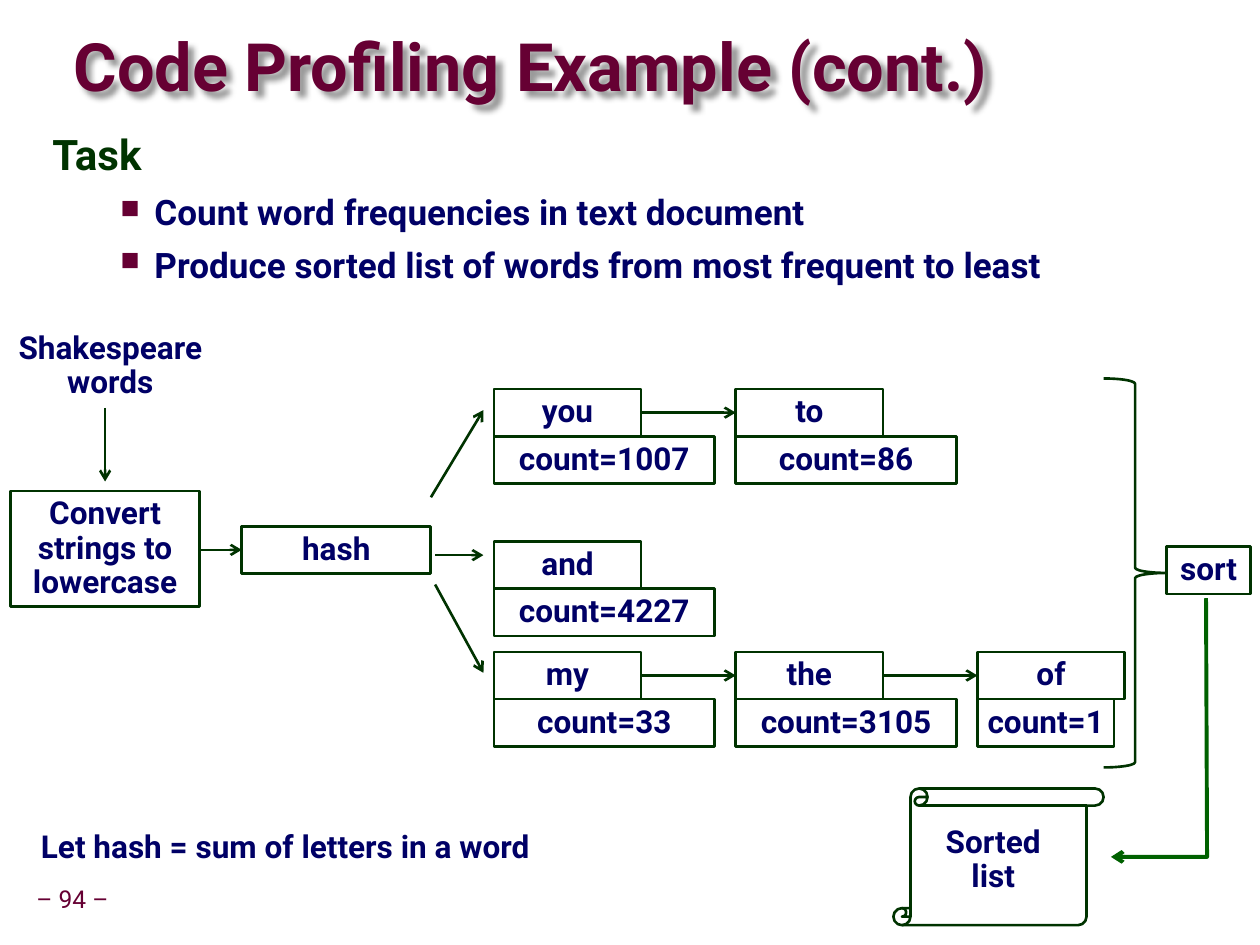
from collections import namedtuple

from lxml.etree import SubElement
from pptx import Presentation
from pptx.dml.color import RGBColor
from pptx.enum.shapes import MSO_CONNECTOR, MSO_SHAPE
from pptx.enum.text import MSO_ANCHOR, PP_ALIGN
from pptx.oxml.ns import qn
from pptx.util import Inches, Pt

COLORS = {"wine": "660033", "forest": "003300", "navy": "000066",
          "green": "006100", "shadow": "000000"}
CELL = Inches(1) / 12  # the slide is a grid of about 120 columns by 90 rows
ROW = 4.5              # height of a one-line box
WORD, COUNT = 14, 21   # widths of the two boxes of a hash entry
STEP = 23              # from one hash entry to the next in its chain

Box = namedtuple("Box", "left top width height")


def cells(*counts):
    return [round(count * CELL) for count in counts]


def rgb(name):
    return RGBColor.from_string(COLORS[name])


def write(shape, text, size=18, color="navy", bold=True, align=PP_ALIGN.CENTER,
          anchor=MSO_ANCHOR.TOP, spacing=0.9, before=0, inset=(0.1, 0.05),
          wrap=True, bullet=False, more=False):
    """Write each line of text as a paragraph; more=True adds to what is there."""
    frame = shape.text_frame
    frame.word_wrap, frame.vertical_anchor = wrap, anchor
    frame.margin_left = frame.margin_right = Inches(inset[0])
    frame.margin_top = frame.margin_bottom = Inches(inset[1])
    for index, line in enumerate(text.split("\n")):
        paragraph = frame.add_paragraph() if more or index else frame.paragraphs[0]
        paragraph.alignment, paragraph.line_spacing = align, spacing
        if before:
            paragraph.space_before = Pt(before)
        if bullet:
            add_bullet(paragraph)
        run = paragraph.add_run()
        run.text = line
        run.font.name, run.font.size, run.font.bold = "Roboto", Pt(size), bold
        run.font.color.rgb = rgb(color)


def add_bullet(paragraph):
    properties = paragraph._p.get_or_add_pPr()
    properties.set("marL", str(Inches(0.81)))
    properties.set("indent", str(Inches(-0.27)))
    color = SubElement(properties, qn("a:buClr"))
    SubElement(color, qn("a:srgbClr"), val=COLORS["wine"])
    SubElement(properties, qn("a:buSzPct"), val="75000")
    SubElement(properties, qn("a:buChar"), char="■")


def add_label(slide, box, text, **style):
    label = slide.shapes.add_textbox(*cells(*box))
    write(label, text, **style)
    return label


def outline(shape, color="forest", width=1.5):
    shape.line.color.rgb, shape.line.width = rgb(color), Pt(width)


def add_outlined(slide, kind, box):
    shape = slide.shapes.add_shape(kind, *cells(*box))
    shape.shadow.inherit = False
    shape.fill.background()
    outline(shape)
    return shape


def add_node(slide, box, text):
    node = add_outlined(slide, MSO_SHAPE.RECTANGLE, box)
    write(node, text, anchor=MSO_ANCHOR.MIDDLE, inset=(0.05, 0.05))


def add_arrowhead(shape):
    SubElement(shape.element.spPr.find(qn("a:ln")), qn("a:tailEnd"), type="arrow")


def add_arrow(slide, *ends):
    arrow = slide.shapes.add_connector(MSO_CONNECTOR.STRAIGHT, *cells(*ends))
    outline(arrow)
    add_arrowhead(arrow)
    SubElement(arrow.element.spPr, qn("a:effectLst"))


def add_title(slide, box):
    title = add_label(slide, box, "Code Profiling Example (cont.)", size=38,
                      color="wine", align=PP_ALIGN.LEFT, spacing=0.87,
                      anchor=MSO_ANCHOR.MIDDLE, inset=(0, 0))
    effects = SubElement(title.element.spPr, qn("a:effectLst"))
    shadow = SubElement(effects, qn("a:outerShdw"), blurRad="38100",
                        dist="50800", dir="2700000", algn="tl")
    color = SubElement(shadow, qn("a:srgbClr"), val=COLORS["shadow"])
    SubElement(color, qn("a:alpha"), val="40000")


def add_task(slide, box):
    task = add_label(slide, box, "Task", size=24, color="forest",
                     align=PP_ALIGN.LEFT, spacing=0.95)
    write(task, "Count word frequencies in text document\n"
          "Produce sorted list of words from most frequent to least",
          size=20, align=PP_ALIGN.LEFT, spacing=1.0, before=6,
          bullet=True, more=True)


def add_input(slide, box):
    """Words flow down into the lowercase step, then right into the hash."""
    left, top, width, height = box
    add_label(slide, Box(left - 1, top, 21, 7.8), "Shakespeare\nwords", wrap=False)
    add_arrow(slide, left + 9, top + 7.8, left + 9, top + 14.8)
    add_node(slide, Box(left, top + height - 11, 18, 11),
             "Convert strings to lowercase")
    middle = top + height - 5.4
    add_arrow(slide, left + 18, middle, left + 22, middle)
    add_node(slide, Box(left + width - 18, middle - ROW / 2, 18, ROW), "hash")


def add_fan(slide, box):
    """Arrows from the hash to the three chains."""
    left, top, width, height = box
    right, bottom = left + width, top + height
    add_arrow(slide, left, top + 8.3, right, top)
    add_arrow(slide, left + 0.4, top + 13.8, right, top + 13.8)
    add_arrow(slide, left + 0.4, bottom - 8.4, right, bottom)


def add_chains(slide, box):
    chains = [(0, [("you", 1007), ("to", 86)]),
              (14.5, [("and", 4227)]),
              (25, [("my", 33), ("the", 3105), ("of", 1)])]
    for offset, entries in chains:
        top = box.top + offset
        for index, (word, count) in enumerate(entries):
            left = box.left + index * STEP
            count_width = min(COUNT, box.left + box.width - left)
            add_node(slide, Box(left, top + ROW, count_width, ROW), f"count={count}")
            add_node(slide, Box(left, top, WORD, ROW), word)
            if index:
                middle = top + ROW / 2
                add_arrow(slide, left - STEP + WORD, middle, left, middle)


def add_result(slide, box):
    """A brace gathers the chains for sorting, which fills the scroll."""
    left, top, width, height = box
    right = left + width
    brace = add_outlined(slide, MSO_SHAPE.RIGHT_BRACE, Box(right - 14, top, 6, 37))
    brace.adjustments[0] = 0.083
    add_node(slide, Box(right - 8, top + 16, 8, ROW), "sort")

    start, corner, end = [tuple(cells(right - x, top + y)) for x, y in
                          ((4.25, 20.9), (4.15, 45.5), (13.3, 45.5))]
    builder = slide.shapes.build_freeform(*start)
    builder.add_line_segments([corner, end], close=False)
    route = builder.convert_to_shape()
    route.shadow.inherit = False
    route.fill.background()
    outline(route, "green", 2.25)
    add_arrowhead(route)

    add_outlined(slide, MSO_SHAPE.VERTICAL_SCROLL,
                 Box(left, top + height - 13, 20, 13))
    add_label(slide, Box(left + 3.5, top + height - 10, 12, 7.8),
              "Sorted\nlist", wrap=False)


def add_footer(slide, box):
    left, top, width, height = box
    add_label(slide, Box(left, top, width, ROW),
              "Let hash = sum of letters in a word", wrap=False)
    add_label(slide, Box(left + 1.8, top + height - 3.8, 8.2, 3.8), "– 94 –",
              size=14, color="wine", bold=False, anchor=MSO_ANCHOR.MIDDLE,
              inset=(0.05, 0.05), wrap=False)


def main():
    deck = Presentation()
    deck.slide_width, deck.slide_height = Inches(9.99), Inches(7.49)
    slide = deck.slides.add_slide(deck.slide_layouts[6])
    add_title(slide, Box(7, 3, 100.8, 7.5))
    add_task(slide, Box(3.8, 12, 108.8, 8))
    add_input(slide, Box(1, 31, 40, 26.7))
    add_fan(slide, Box(41, 39, 5, 25))
    add_chains(slide, Box(47, 37, 59, 34))
    add_result(slide, Box(85, 36, 34, 52))
    add_footer(slide, Box(1, 78.5, 52.3, 9.1))
    deck.save("out.pptx")


if __name__ == "__main__":
    main()
